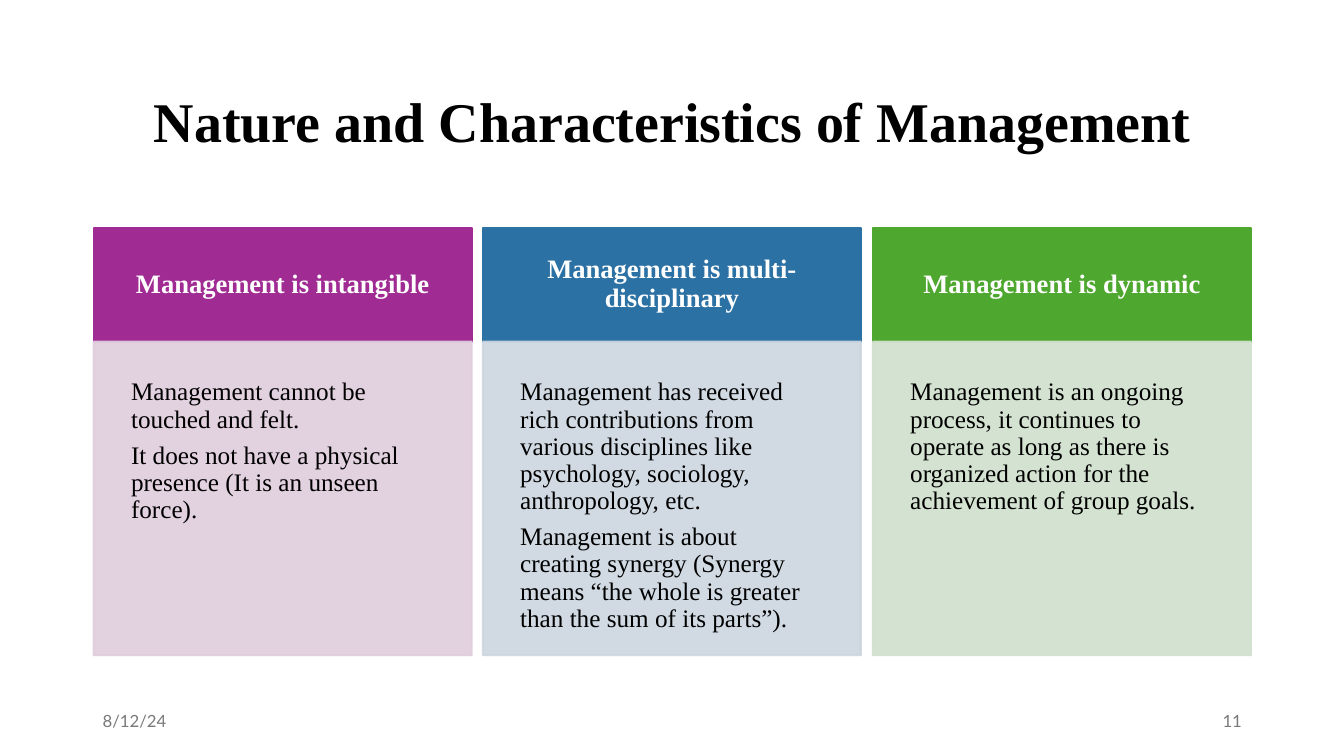
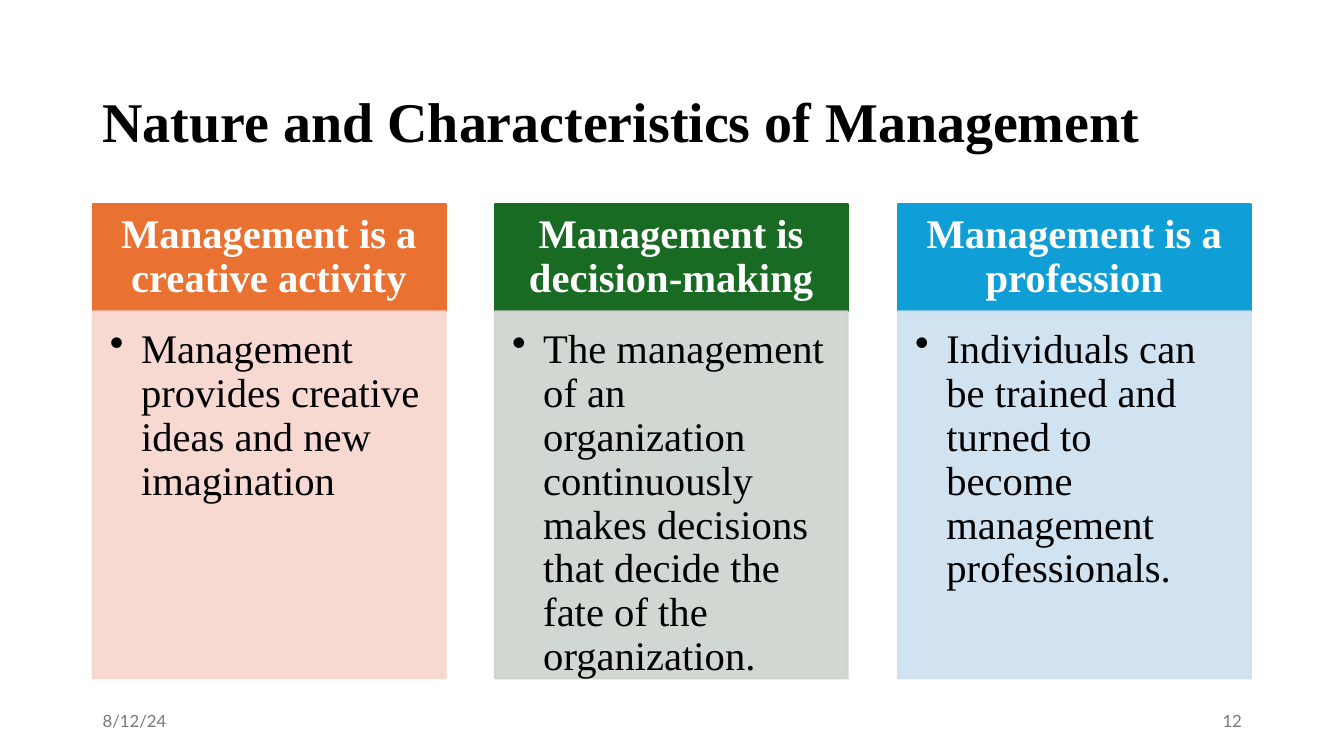
from lxml import etree
from pptx import Presentation
from pptx.dml.color import RGBColor
from pptx.enum.shapes import MSO_SHAPE
from pptx.enum.text import MSO_ANCHOR, PP_ALIGN
from pptx.oxml.ns import qn
from pptx.util import Emu, Pt

LEFT, CENTER, RIGHT = PP_ALIGN.LEFT, PP_ALIGN.CENTER, PP_ALIGN.RIGHT
TOP, MIDDLE = MSO_ANCHOR.TOP, MSO_ANCHOR.MIDDLE
RECT = MSO_SHAPE.RECTANGLE

SCALE = 9144  # EMU per px, 100 px to the inch
SERIF, SANS = "Times New Roman", "Lato"
BLACK, WHITE, GREY = "000000", "FFFFFF", "797979"
TITLE = "Nature and Characteristics of Management"
DATE = "8/12/24"

# Panel styles: box is left, top, width, height; insets are left, top, right, bottom
PLAIN = dict(box=(93, 226, 1148, 424), col_w=375, head_h=113,
             head=dict(size=19, inset=(30, 30, 30, 30)),
             body=dict(size=18, inset=(37, 37, 37, 37), after=6.3))
BULLETED = dict(box=(92, 202, 1149, 471), col_w=350, head_h=107,
                head=dict(size=29, inset=(23, 13, 23, 13)),
                body=dict(size=29, inset=(17, 17, 23, 25), bullet=31))

SLIDES = [
    dict(number="11", title_align=CENTER, style=PLAIN, panels=[
        ("Management is intangible", "A02B93", "DFCDDC",
         ["Management cannot be touched and felt.",
          "It does not have a physical presence (It is an unseen force)."]),
        ("Management is multi-disciplinary", "2C71A4", "CDD6E0",
         ["Management has received rich contributions from various disciplines "
          "like psychology, sociology, anthropology, etc.",
          "Management is about creating synergy (Synergy means “the whole is "
          "greater than the sum of its parts”)."]),
        ("Management is dynamic", "4EA72E", "D0E1CD",
         ["Management is an ongoing process, it continues to operate as long as "
          "there is organized action for the achievement of group goals."]),
    ]),
    dict(number="12", title_align=LEFT, style=BULLETED, panels=[
        ("Management is a creative activity", "E97132", "F7D5CE",
         ["Management provides creative ideas and new imagination"]),
        ("Management is decision-making", "196B24", "CCD4CD",
         ["The management of an organization continuously makes decisions "
          "that decide the fate of the organization."]),
        ("Management is a profession", "0F9ED5", "CCDFEF",
         ["Individuals can be trained and turned to become management "
          "professionals."]),
    ]),
]


def px(n):
    return Emu(n * SCALE)


def rgb(color):
    return RGBColor.from_string(color)


def write(sp, paragraphs, size=18, font=SERIF, color=BLACK, bold=False,
          align=LEFT, anchor=TOP, inset=(10, 5, 10, 5), spacing=0.9,
          after=0, bullet=0):
    """Fill a shape with paragraphs; bullet is the hanging indent in px."""
    tf = sp.text_frame
    tf.word_wrap = True
    tf.vertical_anchor = anchor
    tf.margin_left, tf.margin_top, tf.margin_right, tf.margin_bottom = map(px, inset)
    for i, text in enumerate(paragraphs):
        p = tf.add_paragraph() if i else tf.paragraphs[0]
        p.alignment, p.line_spacing, p.space_after = align, spacing, Pt(after)
        if bullet:
            pPr = p._p.get_or_add_pPr()
            pPr.set("marL", str(px(bullet)))
            pPr.set("indent", str(-px(bullet)))
            etree.SubElement(pPr, qn("a:buChar")).set("char", "•")
        r = p.add_run()
        r.text = text
        r.font.name, r.font.size, r.font.bold = font, Pt(size), bold
        r.font.color.rgb = rgb(color)


def add_text(s, box, text, **fmt):
    write(s.shapes.add_textbox(*map(px, box)), [text], **fmt)


def add_rect(s, box, color, alpha=100):
    sp = s.shapes.add_shape(RECT, *map(px, box))
    sp.shadow.inherit = False
    sp.fill.solid()
    sp.fill.fore_color.rgb = rgb(color)
    sp.line.color.rgb = rgb(color)
    sp.line.width = Pt(1.5)
    if alpha < 100:
        for clr in sp._element.spPr.iter(qn("a:srgbClr")):
            etree.SubElement(clr, qn("a:alpha")).set("val", str(alpha * 1000))
    return sp


def add_frame(s, title_align, number):
    """Title and footer shared by all slides."""
    add_text(s, (92, 61, 1150, 124), TITLE, size=40, bold=True,
             align=title_align, anchor=MIDDLE)
    for left, text, align in ((92, DATE, LEFT), (942, number, RIGHT)):
        add_text(s, (left, 695, 300, 40), text, size=12, font=SANS, color=GREY,
                 align=align, anchor=MIDDLE, spacing=1.0)


def add_panel(s, box, panel, style):
    """A coloured heading above a tinted body."""
    left, top, w, h = box
    heading, color, tint, paragraphs = panel
    head_h = style["head_h"]
    sp = add_rect(s, (left, top, w, head_h), color)
    write(sp, [heading], color=WHITE, bold=True, align=CENTER, anchor=MIDDLE,
          **style["head"])
    sp = add_rect(s, (left, top + head_h, w, h - head_h), tint, alpha=90)
    write(sp, paragraphs, **style["body"])


def add_panels(s, panels, style):
    """Spread panels evenly from edge to edge of the box."""
    left, top, w, h = style["box"]
    col_w = style["col_w"]
    for i, panel in enumerate(panels):
        x = left + i * (w - col_w) // (len(panels) - 1)
        add_panel(s, (x, top, col_w, h), panel, style)


def main():
    prs = Presentation()
    prs.slide_width, prs.slide_height = Emu(12192000), px(750)
    for content in SLIDES:
        s = prs.slides.add_slide(prs.slide_layouts[6])
        add_frame(s, content["title_align"], content["number"])
        add_panels(s, content["panels"], content["style"])
    prs.save("out.pptx")


if __name__ == "__main__":
    main()
